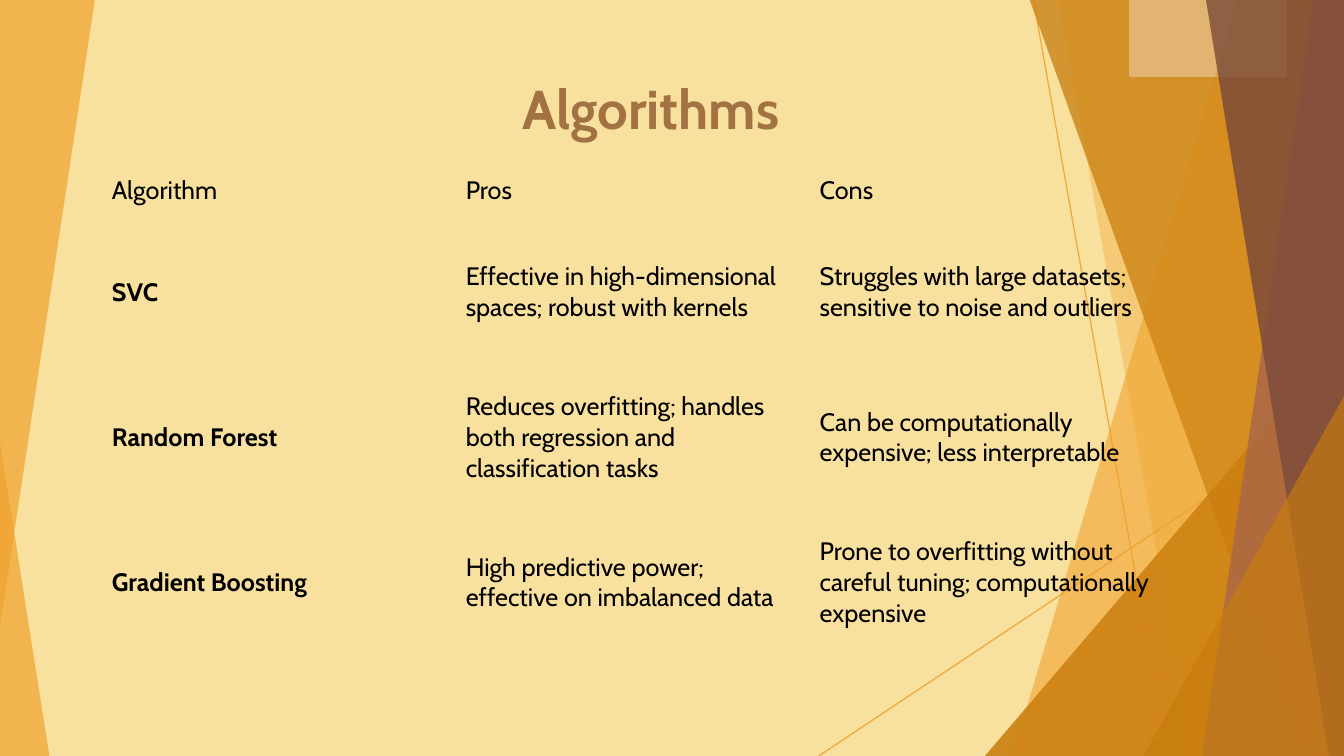
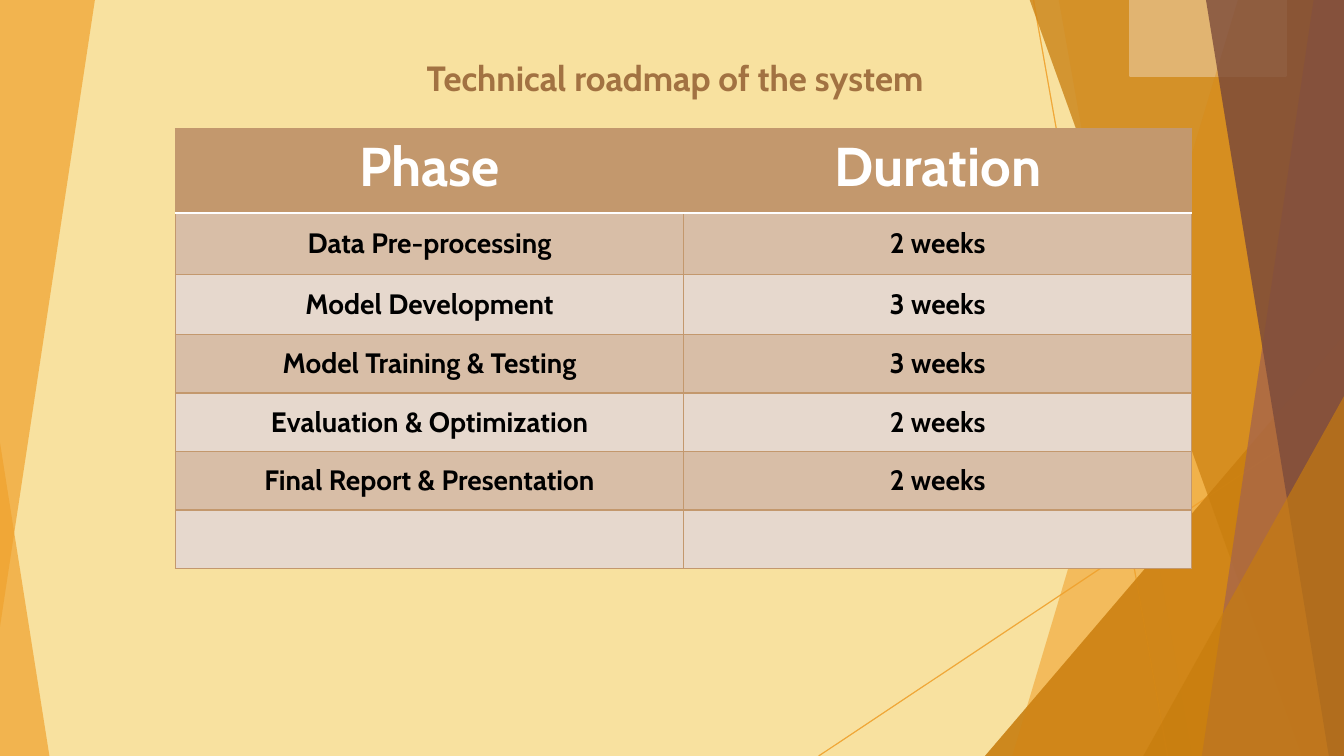
from dataclasses import dataclass

from lxml.etree import SubElement
from pptx import Presentation
from pptx.dml.color import RGBColor
from pptx.enum.shapes import MSO_CONNECTOR as CONN, MSO_SHAPE as SHAPE
from pptx.enum.text import MSO_ANCHOR as ANCHOR, PP_ALIGN as ALIGN
from pptx.oxml.ns import qn
from pptx.util import Inches, Pt

WIDTH, HEIGHT = 13.33, 7.5
PLAIN_TABLE_STYLE = "{2D5ABB26-0587-4C30-8999-92F81FD0307C}"


@dataclass(frozen=True)
class Theme:
    font: str = "Cabin"
    background: str = "F8E19F"
    amber: str = "F0A22E"
    ochre: str = "C87D0E"
    rust: str = "A5644E"
    brown: str = "7C4B3B"
    title: str = "A27242"
    header: str = "C3986D"
    band_dark: str = "D8BEA7"
    band_light: str = "E6D8CD"
    white: str = "FFFFFF"
    black: str = "000000"
    title_size: int = 39
    subtitle_size: int = 25
    phase_size: int = 20
    body_size: int = 18


THEME = Theme()


# Formatting helpers
def rgb(color):
    return RGBColor.from_string(color)


def set_alpha(element, alpha):
    """Make the solid colour inside an element partly transparent."""
    color = next(element.iter(qn("a:srgbClr")))
    SubElement(color, qn("a:alpha"), val=str(alpha * 1000))


def paint(sp, color, alpha=None):
    sp.shadow.inherit = False
    sp.fill.solid()
    sp.fill.fore_color.rgb = rgb(color)
    sp.line.fill.background()
    if alpha is not None:
        set_alpha(sp._element.spPr, alpha)


def write(tf, text, size=THEME.body_size, color=THEME.black, bold=False, align=ALIGN.LEFT):
    tf.word_wrap = True
    p = tf.paragraphs[0]
    p.alignment = align
    r = p.add_run()
    r.text = text
    r.font.name = THEME.font
    r.font.size = Pt(size)
    r.font.bold = bold
    r.font.color.rgb = rgb(color)


# Decoration
def add_ray(shapes, x1, y1, x2, y2):
    line = shapes.add_connector(CONN.STRAIGHT, *map(Inches, (x1, y1, x2, y2)))
    line.line.color.rgb = rgb(THEME.amber)
    line.line.width = Pt(0.75)
    set_alpha(line._element.spPr, 70)
    SubElement(line._element.spPr, qn("a:effectLst"))


def add_facet(shapes, points, color, alpha):
    start, *rest = [(Inches(x), Inches(y)) for x, y in points]
    builder = shapes.build_freeform(*start, scale=1.0)
    builder.add_line_segments(rest, close=True)
    paint(builder.convert_to_shape(), color, alpha)


def add_side_facet(shapes, top_x, bottom_x, color, alpha):
    """Fill everything from a slanted edge to the right side of the slide."""
    points = [(top_x, -0.01), (WIDTH, -0.01), (WIDTH, HEIGHT), (bottom_x, HEIGHT)]
    add_facet(shapes, points, color, alpha)


def add_corner(shapes, left, top, width, apex, color, alpha):
    """Stand a right triangle on the bottom edge of the slide."""
    box = map(Inches, (left, top, width, HEIGHT - top))
    sp = shapes.add_shape(SHAPE.ISOSCELES_TRIANGLE, *box)
    sp.adjustments[0] = apex
    paint(sp, color, alpha)


def add_right_facets(shapes):
    add_ray(shapes, 10.25, 0, 11.58, HEIGHT)
    add_ray(shapes, WIDTH, 4.03, 8.12, HEIGHT)
    add_side_facet(shapes, 12.28, 10.04, THEME.amber, 36)
    add_side_facet(shapes, 10.5, 11.83, THEME.amber, 20)
    add_corner(shapes, 9.77, 3.33, 3.56, 1, THEME.ochre, 66)
    add_side_facet(shapes, 10.21, 12.91, THEME.ochre, 50)
    add_side_facet(shapes, 13.03, 11.92, THEME.rust, 70)
    add_side_facet(shapes, 11.96, 13.18, THEME.brown, 80)
    add_corner(shapes, 11.34, 3.93, 1.99, 1, THEME.ochre, 66)


def add_backdrop(s):
    # Lower layer
    lower = s.shapes.add_group_shape().shapes
    add_right_facets(lower)
    add_corner(lower, 0, 4.39, 0.49, 0, THEME.amber, 70)

    # Pale tab between the layers
    tab = s.shapes.add_shape(SHAPE.RECTANGLE, *map(Inches, (11.21, 0, 1.54, 0.75)))
    paint(tab, THEME.white)
    tab.line.color.rgb = rgb(THEME.white)
    tab.line.width = Pt(1.5)

    # Upper layer
    upper = s.shapes.add_group_shape().shapes
    wedge = [(0, 0), (0.94, -0.01), (0.94, 0.01), (0, 6.22)]
    add_facet(upper, wedge, THEME.amber, 70)
    add_right_facets(upper)


# Titles and tables
def add_title(s, text, box, size):
    tb = s.shapes.add_textbox(*map(Inches, box))
    write(tb.text_frame, text, size=size, color=THEME.title, bold=True, align=ALIGN.CENTER)


def add_plain_table(s, left, top, col_width, cols, heights):
    """Add a table with equal columns and no built-in look."""
    box = (left, top, col_width * cols, sum(heights))
    table = s.shapes.add_table(len(heights), cols, *map(Inches, box)).table
    table.first_row = table.horz_banding = False
    table._tbl.tblPr.find(qn("a:tableStyleId")).text = PLAIN_TABLE_STYLE
    for column in table.columns:
        column.width = Inches(col_width)
    for row, height in zip(table.rows, heights):
        row.height = Inches(height)
    return table


def set_border(cell, side, color, width):
    ln = SubElement(cell._tc.get_or_add_tcPr(), qn("a:ln" + side), w=str(Pt(width)))
    SubElement(SubElement(ln, qn("a:solidFill")), qn("a:srgbClr"), val=color)


def add_comparison(s, left, top, rows):
    table = add_plain_table(s, left, top, 3.51, 3, [0.58] + [1.44] * (len(rows) - 1))
    for i, row in enumerate(rows):
        for j, text in enumerate(row):
            cell = table.cell(i, j)
            cell.vertical_anchor = ANCHOR.MIDDLE
            cell.fill.background()
            write(cell.text_frame, text, bold=i > 0 and j == 0)


def add_roadmap(s, left, top, rows):
    heights = [0.83, 0.61, 0.6] + [0.58] * (len(rows) - 3)
    table = add_plain_table(s, left, top, 5.04, 2, heights)
    for i, row in enumerate(rows):
        # Header and alternating bands
        if i == 0:
            fill, color, size = THEME.header, THEME.white, THEME.title_size
        else:
            fill = THEME.band_dark if i % 2 else THEME.band_light
            color, size = THEME.black, THEME.phase_size
        white_side = {0: "B", 1: "T"}.get(i)
        for j, text in enumerate(row):
            cell = table.cell(i, j)
            for side in "LRTB":
                if side == white_side:
                    set_border(cell, side, THEME.white, 1.5)
                else:
                    set_border(cell, side, THEME.header, 1)
            cell.fill.solid()
            cell.fill.fore_color.rgb = rgb(fill)
            cell.vertical_anchor = ANCHOR.MIDDLE if i else ANCHOR.TOP
            if text:
                write(cell.text_frame, text, size=size, color=color, bold=True,
                      align=ALIGN.CENTER)


# Slides
def new_slide(prs):
    s = prs.slides.add_slide(prs.slide_layouts[6])
    add_backdrop(s)
    return s


def build_algorithms(prs):
    s = new_slide(prs)
    add_title(s, "Algorithms", (0.48, 0.69, 11.95, 1.7), THEME.title_size)
    add_comparison(s, 1.01, 1.6, [
        ("Algorithm", "Pros", "Cons"),
        ("SVC",
         "Effective in high-dimensional spaces; robust with kernels",
         "Struggles with large datasets; sensitive to noise and outliers"),
        ("Random Forest",
         "Reduces overfitting; handles both regression and classification tasks",
         "Can be computationally expensive; less interpretable"),
        ("Gradient Boosting",
         "High predictive power; effective on imbalanced data",
         "Prone to overfitting without careful tuning; computationally expensive"),
    ])


def build_roadmap(prs):
    s = new_slide(prs)
    add_roadmap(s, 1.74, 1.28, [
        ("Phase", "Duration"),
        ("Data Pre-processing", "2 weeks"),
        ("Model Development", "3 weeks"),
        ("Model Training & Testing", "3 weeks"),
        ("Evaluation & Optimization", "2 weeks"),
        ("Final Report & Presentation", "2 weeks"),
        ("", ""),
    ])
    add_title(s, "Technical roadmap of the system", (2.31, 0.51, 8.77, 0.52),
              THEME.subtitle_size)


def main():
    prs = Presentation()
    prs.slide_width, prs.slide_height = Inches(WIDTH), Inches(HEIGHT)
    background = prs.slide_master.background.fill
    background.solid()
    background.fore_color.rgb = rgb(THEME.background)
    build_algorithms(prs)
    build_roadmap(prs)
    prs.save("out.pptx")


if __name__ == "__main__":
    main()
